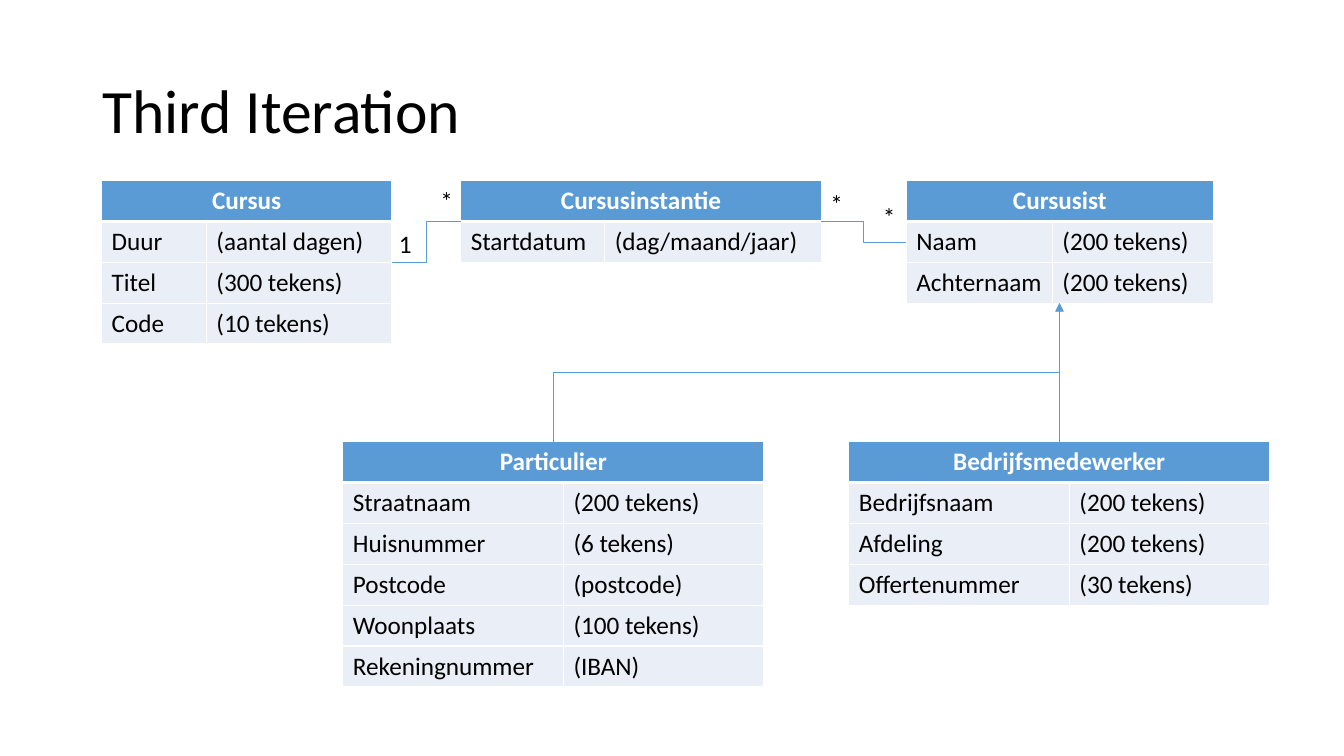
"""Build a class diagram slide of courses, course instances and participants."""
from lxml.etree import SubElement
from pptx import Presentation
from pptx.dml.color import RGBColor
from pptx.enum.shapes import MSO_CONNECTOR
from pptx.enum.text import MSO_ANCHOR, MSO_AUTO_SIZE, PP_ALIGN
from pptx.oxml.ns import qn
from pptx.util import Cm, Pt

COLORS = {"blue": "5B9BD5", "pale": "EAEFF7", "white": "FFFFFF", "black": "000000"}
FONT = "Calibri"
ROW_HEIGHT = 1.03
TOP_ROW, BOTTOM_ROW = 4.55, 11.13


def write_text(text_frame, text, size=18, color="black", bold=False):
    """Fill a text frame with one formatted paragraph and return it."""
    text_frame.text = text
    paragraph = text_frame.paragraphs[0]
    font = paragraph.runs[0].font
    font.name, font.size, font.bold = FONT, Pt(size), bold
    font.color.rgb = RGBColor.from_string(COLORS[color])
    return paragraph


def add_border(cell, side, width):
    """Add a white border to one side of a table cell."""
    line = SubElement(cell._tc.get_or_add_tcPr(), qn(f"a:ln{side}"), w=str(Pt(width)))
    fill = SubElement(line, qn("a:solidFill"))
    SubElement(fill, qn("a:srgbClr"), val=COLORS["white"])


presentation = Presentation()
presentation.slide_width, presentation.slide_height = Cm(33.87), Cm(19.05)
slide = presentation.slides.add_slide(presentation.slide_layouts[6])

title = slide.shapes.add_textbox(Cm(2.33), Cm(1.01), Cm(29.21), Cm(3.68))
title.text_frame.word_wrap = True
title.text_frame.vertical_anchor = MSO_ANCHOR.MIDDLE
write_text(title.text_frame, "Third Iteration", size=44).line_spacing = 0.9

entities = [
    ("Cursus", 2.56, TOP_ROW, (2.64, 4.67),
     [("Duur", "(aantal dagen)"), ("Titel", "(300 tekens)"), ("Code", "(10 tekens)")]),
    ("Cursusinstantie", 11.61, TOP_ROW, (3.63, 5.46),
     [("Startdatum", "(dag/maand/jaar)")]),
    ("Cursusist", 22.84, TOP_ROW, (3.68, 4.06),
     [("Naam", "(200 tekens)"), ("Achternaam", "(200 tekens)")]),
    ("Particulier", 8.64, BOTTOM_ROW, (5.56, 5.05),
     [("Straatnaam", "(200 tekens)"), ("Huisnummer", "(6 tekens)"),
      ("Postcode", "(postcode)"), ("Woonplaats", "(100 tekens)"),
      ("Rekeningnummer", "(IBAN)")]),
    ("Bedrijfsmedewerker", 21.39, BOTTOM_ROW, (5.56, 5.05),
     [("Bedrijfsnaam", "(200 tekens)"), ("Afdeling", "(200 tekens)"),
      ("Offertenummer", "(30 tekens)")]),
]
for name, left, top, column_widths, attributes in entities:
    row_count = len(attributes) + 1
    table = slide.shapes.add_table(
        row_count, 2, Cm(left), Cm(top),
        Cm(sum(column_widths)), Cm(row_count * ROW_HEIGHT)).table
    for column, width in zip(table.columns, column_widths):
        column.width = Cm(width)
    for row in table.rows:
        row.height = Cm(ROW_HEIGHT)
    table.cell(0, 0).merge(table.cell(0, 1))
    for row_index, texts in enumerate([(name, ""), *attributes]):
        is_header = row_index == 0
        for column_index, text in enumerate(texts):
            cell = table.cell(row_index, column_index)
            for side in "LRTB":
                under_header = (row_index, side) in [(0, "B"), (1, "T")]
                add_border(cell, side, 3 if under_header else 1)
            cell.fill.solid()
            cell.fill.fore_color.rgb = RGBColor.from_string(
                COLORS["blue" if is_header else "pale"])
            if text:
                paragraph = write_text(cell.text_frame, text, bold=is_header,
                                       color="white" if is_header else "black")
                if is_header:
                    paragraph.alignment = PP_ALIGN.CENTER

inheritance_end = (26.7, TOP_ROW + 3 * ROW_HEIGHT)
relations = [
    ((9.87, TOP_ROW + 2 * ROW_HEIGHT), (11.61, TOP_ROW + ROW_HEIGHT), False),
    ((20.7, TOP_ROW + ROW_HEIGHT), (22.84, TOP_ROW + 1.5 * ROW_HEIGHT), False),
    ((13.95, BOTTOM_ROW), inheritance_end, True),
    ((26.7, BOTTOM_ROW), inheritance_end, True),
]
for start, end, is_inheritance in relations:
    if is_inheritance:
        center_x, center_y = (start[0] + end[0]) / 2, (start[1] + end[1]) / 2
        start, end = [(center_x + y - center_y, center_y - x + center_x)
                      for x, y in (start, end)]
    connector = slide.shapes.add_connector(
        MSO_CONNECTOR.ELBOW, Cm(start[0]), Cm(start[1]), Cm(end[0]), Cm(end[1]))
    connector.line.color.rgb = RGBColor.from_string(COLORS["blue"])
    connector.line.width = Pt(0.5)
    properties = connector._element.spPr
    if is_inheritance:
        properties.find(qn("a:xfrm")).set("rot", str(90 * 60000))
        SubElement(properties.find(qn("a:ln")), qn("a:tailEnd"), type="triangle")
    SubElement(properties, qn("a:effectLst"))

multiplicities = [("1", 9.8, 5.64), ("*", 10.85, 4.55), ("*", 20.68, 4.62), ("*", 22, 4.95)]
for text, left, top in multiplicities:
    label = slide.shapes.add_textbox(Cm(left), Cm(top), Cm(0.84), Cm(1.02))
    label.text_frame.word_wrap = False
    label.text_frame.auto_size = MSO_AUTO_SIZE.SHAPE_TO_FIT_TEXT
    write_text(label.text_frame, text)

presentation.save("out.pptx")
